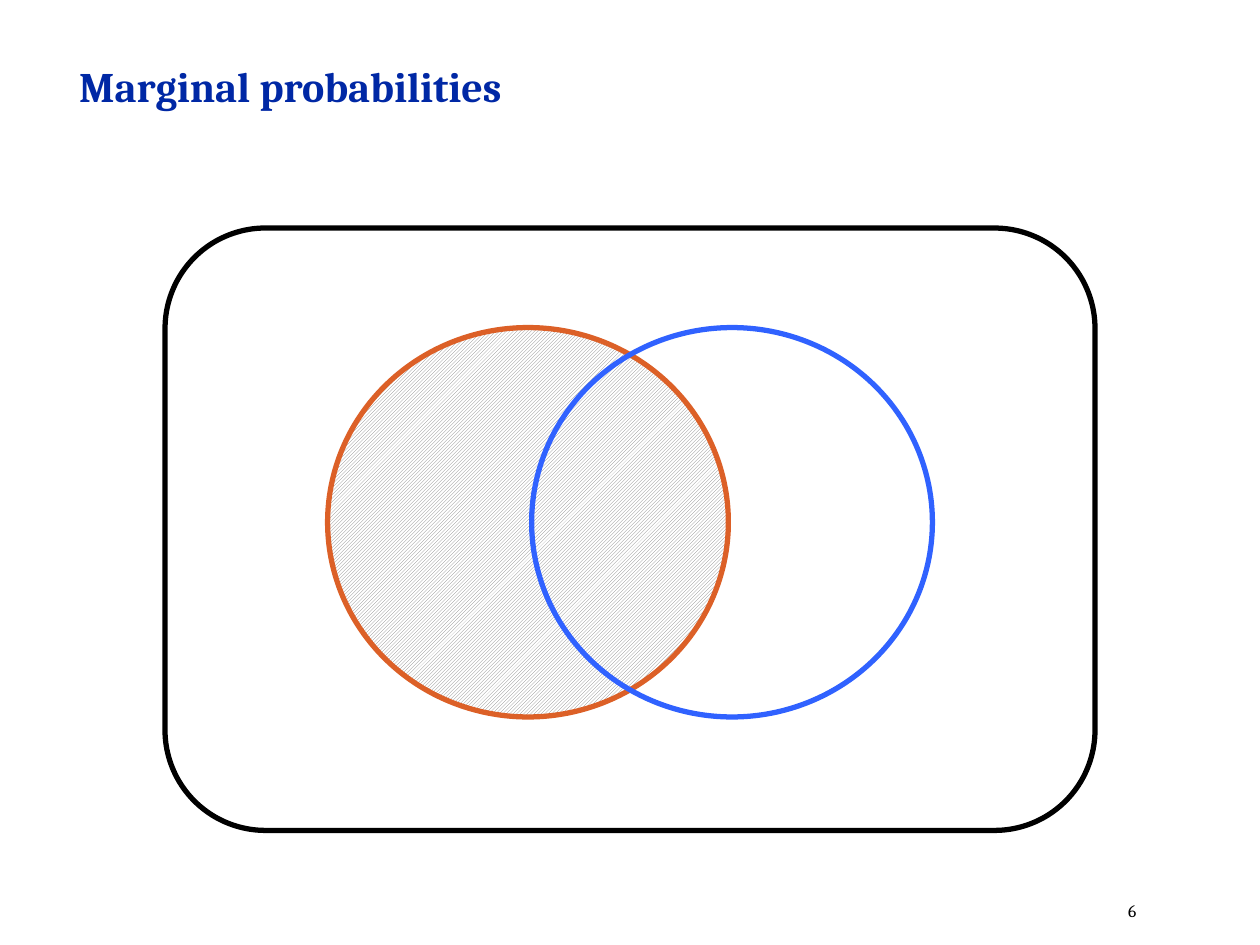
from dataclasses import dataclass
from typing import Optional

from pptx import Presentation
from pptx.dml.color import RGBColor as RGB
from pptx.enum.dml import MSO_PATTERN as Pattern
from pptx.enum.shapes import MSO_SHAPE as Shape
from pptx.enum.text import PP_ALIGN as Align
from pptx.util import Pt


@dataclass(frozen=True)
class Theme:
    font: str = "Cambria"
    title: RGB = RGB(0x00, 0x28, 0xA5)
    black: RGB = RGB(0x00, 0x00, 0x00)
    white: RGB = RGB(0xFF, 0xFF, 0xFF)
    hatch: RGB = RGB(0x80, 0x80, 0x80)
    orange: RGB = RGB(0xDC, 0x60, 0x27)
    blue: RGB = RGB(0x30, 0x62, 0xFF)
    title_size: float = 24
    number_size: float = 10
    stroke: float = 3


@dataclass(frozen=True)
class Box:
    left: float
    top: float
    width: float
    height: float

    def emu(self) -> tuple:
        return Pt(self.left), Pt(self.top), Pt(self.width), Pt(self.height)


@dataclass(frozen=True)
class Region:
    kind: Shape
    box: Box
    line: RGB
    hatch: Optional[RGB] = None


THEME = Theme()
CIRCLE_TOP, CIRCLE_W, CIRCLE_H = 187.2, 229, 222.5
UNIVERSE = Region(Shape.ROUNDED_RECTANGLE, Box(94.3, 130.3, 531.4, 344.2), THEME.black)
EVENT_A = Region(Shape.OVAL, Box(187.2, CIRCLE_TOP, CIRCLE_W, CIRCLE_H),
                 THEME.orange, THEME.hatch)
EVENT_B = Region(Shape.OVAL, Box(303.8, CIRCLE_TOP, CIRCLE_W, CIRCLE_H), THEME.blue)


def add_text(s, text: str, box: Box, *, size: float, color: RGB,
             bold: bool = False, align: Align = Align.LEFT,
             inset: Optional[float] = None) -> None:
    tf = s.shapes.add_textbox(*box.emu()).text_frame
    tf.word_wrap = True
    if inset is not None:
        tf.margin_left = tf.margin_right = Pt(inset)
        tf.margin_top = tf.margin_bottom = Pt(inset)
    p = tf.paragraphs[0]
    p.alignment = align
    r = p.add_run()
    r.text = text
    r.font.name = THEME.font
    r.font.size = Pt(size)
    r.font.bold = bold
    r.font.color.rgb = color


def add_region(s, region: Region) -> None:
    sp = s.shapes.add_shape(region.kind, *region.box.emu())
    sp.shadow.inherit = False
    sp.line.color.rgb = region.line
    sp.line.width = Pt(THEME.stroke)
    if region.hatch is None:
        sp.fill.background()
    else:
        sp.fill.patterned()
        sp.fill.pattern = Pattern.LIGHT_UPWARD_DIAGONAL
        sp.fill.fore_color.rgb = region.hatch
        sp.fill.back_color.rgb = THEME.white


def main() -> None:
    prs = Presentation()
    prs.slide_width, prs.slide_height = Pt(720), Pt(540)
    s = prs.slides.add_slide(prs.slide_layouts[6])
    add_text(s, "Marginal probabilities", Box(38.2, 31, 643, 36),
             size=THEME.title_size, color=THEME.title, bold=True)
    add_text(s, "6", Box(586.8, 514.1, 62.6, 17.3), size=THEME.number_size,
             color=THEME.black, align=Align.RIGHT, inset=0)
    for region in (UNIVERSE, EVENT_A, EVENT_B):
        add_region(s, region)
    prs.save("out.pptx")


if __name__ == "__main__":
    main()
